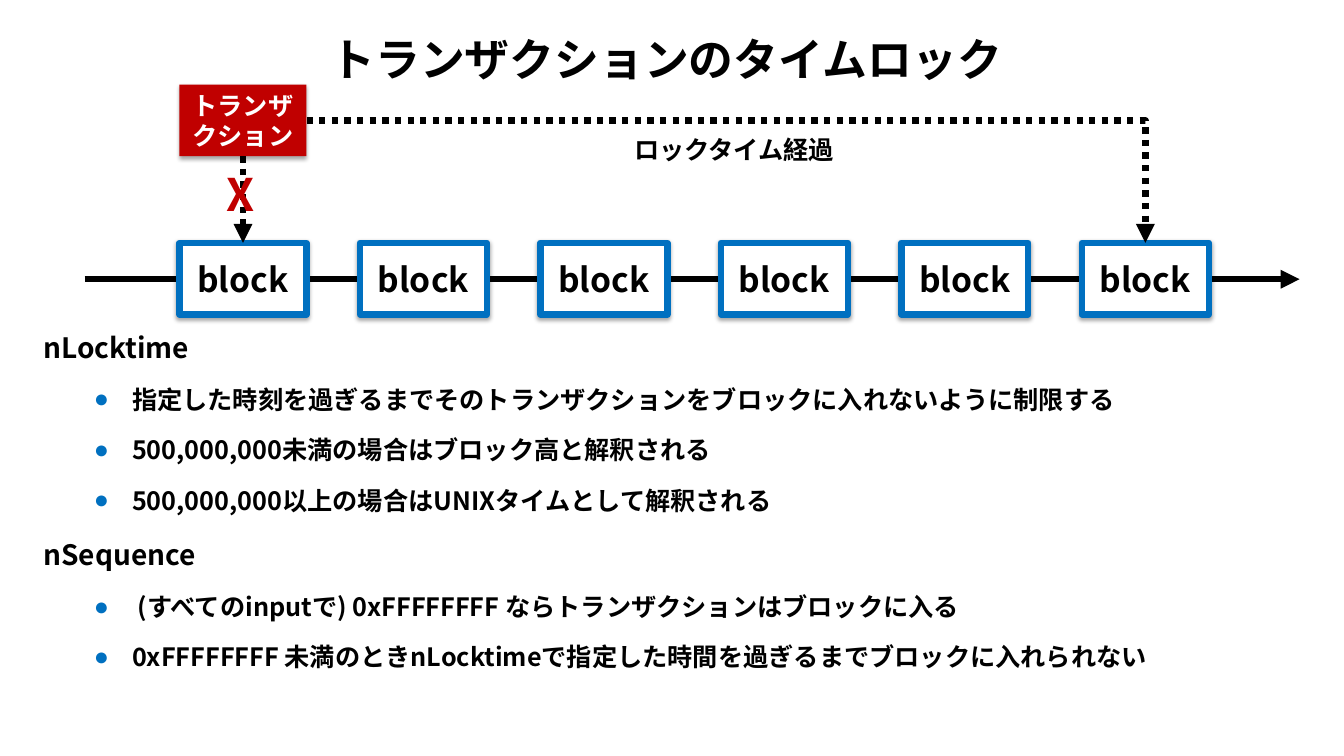
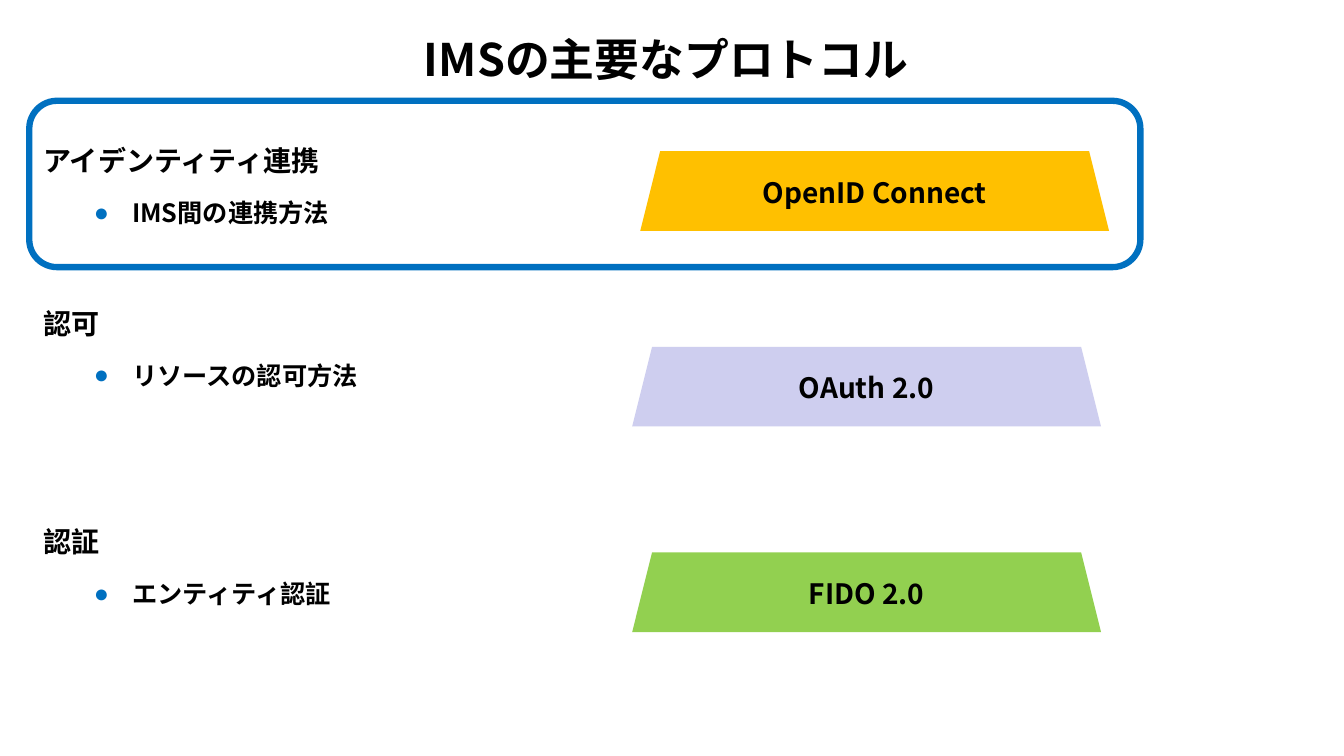
import pptx
import pptx.util
import pptx.dml.color
import pptx.enum.dml
import pptx.enum.shapes
import pptx.enum.text
import pptx.oxml
import pptx.oxml.ns

PX = 9144
FONT = "Noto Sans CJK JP"
COLORS = {
    "black": "000000",
    "white": "FFFFFF",
    "blue": "0070C0",
    "red": "C00000",
    "amber": "FFC000",
    "lavender": "CECEEF",
    "green": "92D050",
}
LINE_WIDTH = 4.5
BLANK_LINE = 40
TITLE_BOX = (33, 17, 1256, 83)
BLOCK_W, BLOCK_H = 126, 71
BLOCK_LEFT, BLOCK_TOP, BLOCK_STEP, BLOCK_COUNT = 178, 241, 179, 6
PROTOCOL_W, PROTOCOL_H = 465, 79

SHAPE = pptx.enum.shapes.MSO_SHAPE
CONNECTOR = pptx.enum.shapes.MSO_CONNECTOR
ALIGN = pptx.enum.text.PP_ALIGN
MIDDLE = pptx.enum.text.MSO_ANCHOR.MIDDLE

LOCK_LINES = [
    (0, "nLocktime", 0),
    (1, "指定した時刻を過ぎるまでそのトランザクションをブロックに入れないように制限する", 0),
    (1, "500,000,000未満の場合はブロック高と解釈される", 0),
    (1, "500,000,000以上の場合はUNIXタイムとして解釈される", 0),
    (0, "nSequence", 0),
    (1, " (すべてのinputで) 0xFFFFFFFF ならトランザクションはブロックに入る", 0),
    (1, "0xFFFFFFFF 未満のときnLocktimeで指定した時間を過ぎるまでブロックに入れられない", 0),
]
PROTOCOL_LINES = [
    (0, "アイデンティティ連携", 0),
    (1, "IMS間の連携方法", 0),
    (0, "認可", 1),
    (1, "リソースの認可方法", 0),
    (0, "認証", 2),
    (1, "エンティティ認証", 0),
]
PROTOCOLS = [
    ("FIDO 2.0", 627, 548, "green"),
    ("OAuth 2.0", 627, 344, "lavender"),
    ("OpenID Connect", 635, 150, "amber"),
]


def px(*values):
    return [v * PX for v in values]


def rgb(name):
    return pptx.dml.color.RGBColor.from_string(COLORS[name])


def add_xml(parent, tag, inner="", **attrs):
    attr_text = "".join(f' {key}="{value}"' for key, value in attrs.items())
    ns = pptx.oxml.ns.nsdecls("a")
    el = pptx.oxml.parse_xml(f"<a:{tag} {ns}{attr_text}>{inner}</a:{tag}>")
    parent.append(el)
    return el


def format_runs(p, size, color="black"):
    for r in p.runs:
        r.font.size = pptx.util.Pt(size)
        r.font.bold = True
        r.font.color.rgb = rgb(color)
        r.font.name = FONT
        add_xml(r.font._element, "ea", typeface=FONT)


def set_text(sp, text, size, color="black", align=ALIGN.CENTER):
    tf = sp.text_frame
    tf.text = text
    p = tf.paragraphs[0]
    p.alignment = align
    format_runs(p, size, color)
    return tf


def place(sp, box):
    sp.left, sp.top, sp.width, sp.height = px(*box)


def add_slide(prs, title, body_box, lines):
    s = prs.slides.add_slide(prs.slide_layouts[1])
    place(s.shapes.title, TITLE_BOX)
    tf = set_text(s.shapes.title, title, 32)
    tf.vertical_anchor = MIDDLE
    tf.auto_size = pptx.enum.text.MSO_AUTO_SIZE.NONE
    fill_body(s.placeholders[1], body_box, lines)
    return s


def fill_body(sp, box, lines):
    place(sp, box)
    tf = sp.text_frame
    tf.auto_size = pptx.enum.text.MSO_AUTO_SIZE.NONE
    for i, (level, text, blanks) in enumerate(lines):
        p = tf.add_paragraph() if i else tf.paragraphs[0]
        p.text = text
        p.level = level
        size = 18 if level else 20
        set_bullet(p, level)
        p.line_spacing = 1.5
        before = size * 0.2 + blanks * BLANK_LINE if i else 0
        p.space_before = pptx.util.Pt(before)
        format_runs(p, size)


def set_bullet(p, level):
    pPr = p._p.get_or_add_pPr()
    left, indent = px(88, -38) if level else (0, 0)
    pPr.set("marL", str(left))
    pPr.set("indent", str(indent))
    if level:
        add_xml(pPr, "buClr", f'<a:srgbClr val="{COLORS["blue"]}"/>')
        add_xml(pPr, "buFont", typeface="Arial")
        add_xml(pPr, "buChar", char="●")
    else:
        add_xml(pPr, "buNone")


def add_box(s, kind, box, fill=None, line=None):
    sp = s.shapes.add_shape(kind, *px(*box))
    sp.shadow.inherit = False
    if fill:
        sp.fill.solid()
        sp.fill.fore_color.rgb = rgb(fill)
    else:
        sp.fill.background()
    if line:
        sp.line.color.rgb = rgb(line)
        sp.line.width = pptx.util.Pt(LINE_WIDTH)
    else:
        sp.line.fill.background()
    return sp


def add_label_box(s, kind, box, text, size, fill, line=None, color="black"):
    sp = add_box(s, kind, box, fill, line)
    tf = set_text(sp, text, size, color)
    tf.word_wrap = True
    tf.vertical_anchor = MIDDLE
    return sp


def add_shadow(sp):
    effects = sp._element.spPr.find(pptx.oxml.ns.qn("a:effectLst"))
    color = f'<a:srgbClr val="{COLORS["black"]}"><a:alpha val="35000"/></a:srgbClr>'
    add_xml(effects, "outerShdw", color, blurRad=39370, dist=22860,
            dir=5400000, rotWithShape=0)


def add_text(s, box, text, size, color="black"):
    sp = s.shapes.add_textbox(*px(*box))
    set_text(sp, text, size, color, ALIGN.LEFT).word_wrap = False


def add_arrow(s, start, end, kind=CONNECTOR.STRAIGHT, dotted=False):
    cx = s.shapes.add_connector(kind, *px(*start, *end))
    cx.line.color.rgb = rgb("black")
    cx.line.width = pptx.util.Pt(LINE_WIDTH)
    if dotted:
        cx.line.dash_style = pptx.enum.dml.MSO_LINE.ROUND_DOT
    add_xml(cx.line._get_or_add_ln(), "tailEnd", type="triangle")
    add_xml(cx._element.spPr, "effectLst")
    return cx


def build_timelock(prs):
    s = add_slide(prs, "トランザクションのタイムロック", (33, 306, 1256, 361), LOCK_LINES)
    add_arrow(s, (84, 277), (1289, 277))
    blocks = []
    for i in range(BLOCK_COUNT):
        box = (BLOCK_LEFT + i * BLOCK_STEP, BLOCK_TOP, BLOCK_W, BLOCK_H)
        blocks.append(add_label_box(s, SHAPE.RECTANGLE, box, "block", 24, "white", "blue"))
    transaction = add_label_box(s, SHAPE.RECTANGLE, (BLOCK_LEFT, 84, BLOCK_W, BLOCK_H),
                                "トランザクション", 18, "red", color="white")
    for sp in blocks + [transaction]:
        add_shadow(sp)

    center = BLOCK_LEFT + BLOCK_W // 2
    blocked = add_arrow(s, (center, 155), (center, BLOCK_TOP), dotted=True)
    blocked.begin_connect(transaction, 2)
    blocked.end_connect(blocks[0], 0)
    add_text(s, (215, 161, 53, 64), "X", 32, "red")

    last_center = center + (BLOCK_COUNT - 1) * BLOCK_STEP
    elapsed = add_arrow(s, (BLOCK_LEFT + BLOCK_W, 120), (last_center, BLOCK_TOP),
                        CONNECTOR.ELBOW, dotted=True)
    elapsed._element.spPr.find(pptx.oxml.ns.qn("a:prstGeom")).set("prst", "bentConnector2")
    elapsed.begin_connect(transaction, 3)
    elapsed.end_connect(blocks[-1], 0)
    add_text(s, (619, 128, 222, 40), "ロックタイム経過", 18)


def build_protocols(prs):
    s = add_slide(prs, "IMSの主要なプロトコル", (33, 121, 1256, 567), PROTOCOL_LINES)
    for name, left, top, fill in PROTOCOLS:
        add_label_box(s, SHAPE.TRAPEZOID, (left, top, PROTOCOL_W, PROTOCOL_H), name, 20, fill)
    add_box(s, SHAPE.ROUNDED_RECTANGLE, (29, 100, 1102, 165), line="blue")


def main():
    prs = pptx.Presentation()
    prs.slide_width, prs.slide_height = px(1333, 750)
    build_timelock(prs)
    build_protocols(prs)
    prs.save("out.pptx")


if __name__ == "__main__":
    main()
